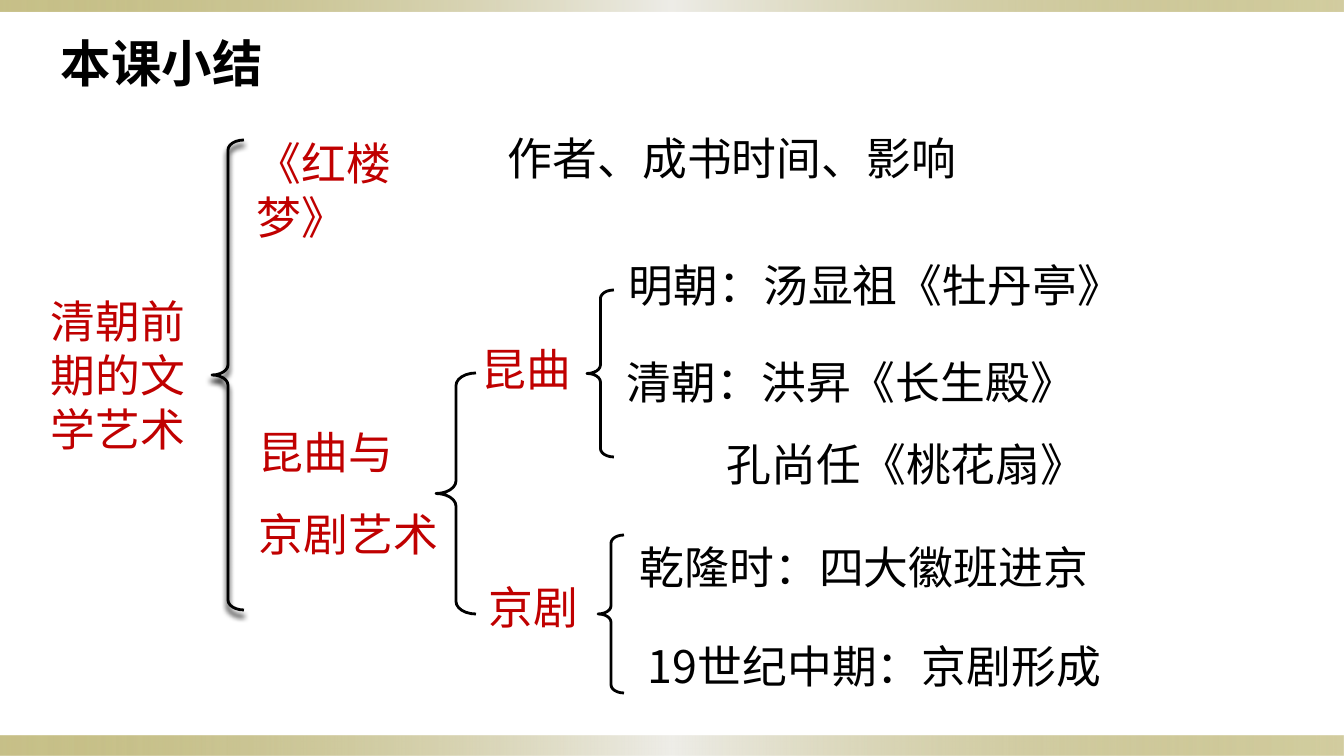
from dataclasses import dataclass

from lxml import etree
from pptx import Presentation
from pptx.dml.color import RGBColor
from pptx.enum.shapes import MSO_SHAPE
from pptx.oxml import parse_xml
from pptx.oxml.ns import qn
from pptx.util import Emu, Pt

RECT = MSO_SHAPE.RECTANGLE
LEFT_BRACE = MSO_SHAPE.LEFT_BRACE
SLIDE_W, SLIDE_H = 1344, 756
EMU_PER_PX = 12192000 / SLIDE_W
FONT = "Noto Sans CJK SC"
COLORS = {"ink": "000000", "topic": "C00000", "olive": "918415", "pale": "EEEDE8"}
BAND_STOPS = [(0, "olive", 50), (50, "pale", 100), (100, "olive", 40)]
A_NS = "http://schemas.openxmlformats.org/drawingml/2006/main"


@dataclass
class Band:
    y: int
    h: int


@dataclass
class Brace:
    x: int
    y: int
    w: int
    h: int
    shadow: bool = False


@dataclass
class Label:
    x: int
    y: int
    w: int
    h: int
    lines: tuple[str, ...]
    color: str = "ink"
    size: int = 32
    bold: bool = False
    inset: bool = True
    last_indent: int = 0


BANDS = [Band(736, 20), Band(0, 12)]

BRACES = [
    Brace(212, 140, 32, 470, shadow=True),
    Brace(436, 373, 40, 241),
    Brace(587, 290, 27, 167),
    Brace(598, 535, 26, 158),
]

LABELS = [
    Label(61, 32, 283, 60, ("本课小结",), size=36, bold=True, inset=False),
    Label(41, 289, 160, 173, ("清朝前期的文学艺术",), "topic"),
    Label(247, 131, 239, 65, ("《红楼梦》",), "topic"),
    Label(498, 126, 707, 65, ("作者、成书时间、影响",)),
    Label(249, 420, 230, 151, ("昆曲与", "京剧艺术"), "topic"),
    Label(472, 337, 117, 65, ("昆曲",), "topic"),
    Label(479, 575, 142, 65, ("京剧",), "topic"),
    Label(619, 253, 555, 65, ("明朝：汤显祖《牡丹亭》",)),
    Label(617, 350, 671, 151, ("清朝：洪昇《长生殿》", "孔尚任《桃花扇》"), last_indent=100),
    Label(630, 535, 583, 65, ("乾隆时：四大徽班进京",)),
    Label(638, 634, 577, 65, ("19世纪中期：京剧形成",)),
]


def px(value: int) -> Emu:
    return Emu(round(value * EMU_PER_PX))


def rgb(name: str) -> RGBColor:
    return RGBColor.from_string(COLORS[name])


def draw_band(slide, band: Band) -> None:
    sp = slide.shapes.add_shape(RECT, 0, px(band.y), px(SLIDE_W), px(band.h))
    sp.shadow.inherit = False
    sp.line.fill.background()
    stops = "".join(
        f'<a:gs pos="{pos * 1000}"><a:srgbClr val="{COLORS[color]}">'
        f'<a:alpha val="{alpha * 1000}"/></a:srgbClr></a:gs>'
        for pos, color, alpha in BAND_STOPS
    )
    grad = parse_xml(
        f'<a:gradFill xmlns:a="{A_NS}"><a:gsLst>{stops}</a:gsLst>'
        '<a:lin ang="0" scaled="0"/></a:gradFill>'
    )
    sp._element.spPr.insert(2, grad)


def draw_brace(slide, brace: Brace) -> None:
    sp = slide.shapes.add_shape(
        LEFT_BRACE, px(brace.x), px(brace.y), px(brace.w), px(brace.h)
    )
    sp.adjustments[0] = 0.315
    sp.adjustments[1] = 0.5
    sp.fill.background()
    sp.line.color.rgb = rgb("ink")
    sp.line.width = Pt(2)
    sp.shadow.inherit = False
    if brace.shadow:
        effects = sp._element.spPr.find(qn("a:effectLst"))
        shadow = etree.SubElement(
            effects,
            qn("a:outerShdw"),
            blurRad=str(Pt(4)),
            dist=str(Pt(4)),
            dir="5400000",
            rotWithShape="0",
        )
        etree.SubElement(shadow, qn("a:srgbClr"), val=COLORS["ink"])


def draw_label(slide, label: Label) -> None:
    sp = slide.shapes.add_textbox(
        px(label.x), px(label.y), px(label.w), px(label.h)
    )
    tf = sp.text_frame
    tf.word_wrap = True
    if not label.inset:
        tf.margin_left = tf.margin_right = tf.margin_top = tf.margin_bottom = 0
    tf.text = "\n".join(label.lines)
    for i, p in enumerate(tf.paragraphs):
        p.line_spacing = Pt(label.size * 1.2)
        if i:
            p.space_before = Pt(20)
        r = p.runs[0]
        r.font.name = FONT
        r.font.size = Pt(label.size)
        r.font.bold = label.bold
        r.font.color.rgb = rgb(label.color)
        etree.SubElement(r._r.get_or_add_rPr(), qn("a:ea"), typeface=FONT)
    if label.last_indent:
        p_pr = tf.paragraphs[-1]._p.get_or_add_pPr()
        p_pr.set("marL", str(px(label.last_indent)))


def main() -> None:
    prs = Presentation()
    prs.slide_width, prs.slide_height = px(SLIDE_W), px(SLIDE_H)
    slide = prs.slides.add_slide(prs.slide_layouts[6])
    for band in BANDS:
        draw_band(slide, band)
    for brace in BRACES:
        draw_brace(slide, brace)
    for label in LABELS:
        draw_label(slide, label)
    prs.save("out.pptx")


if __name__ == "__main__":
    main()
